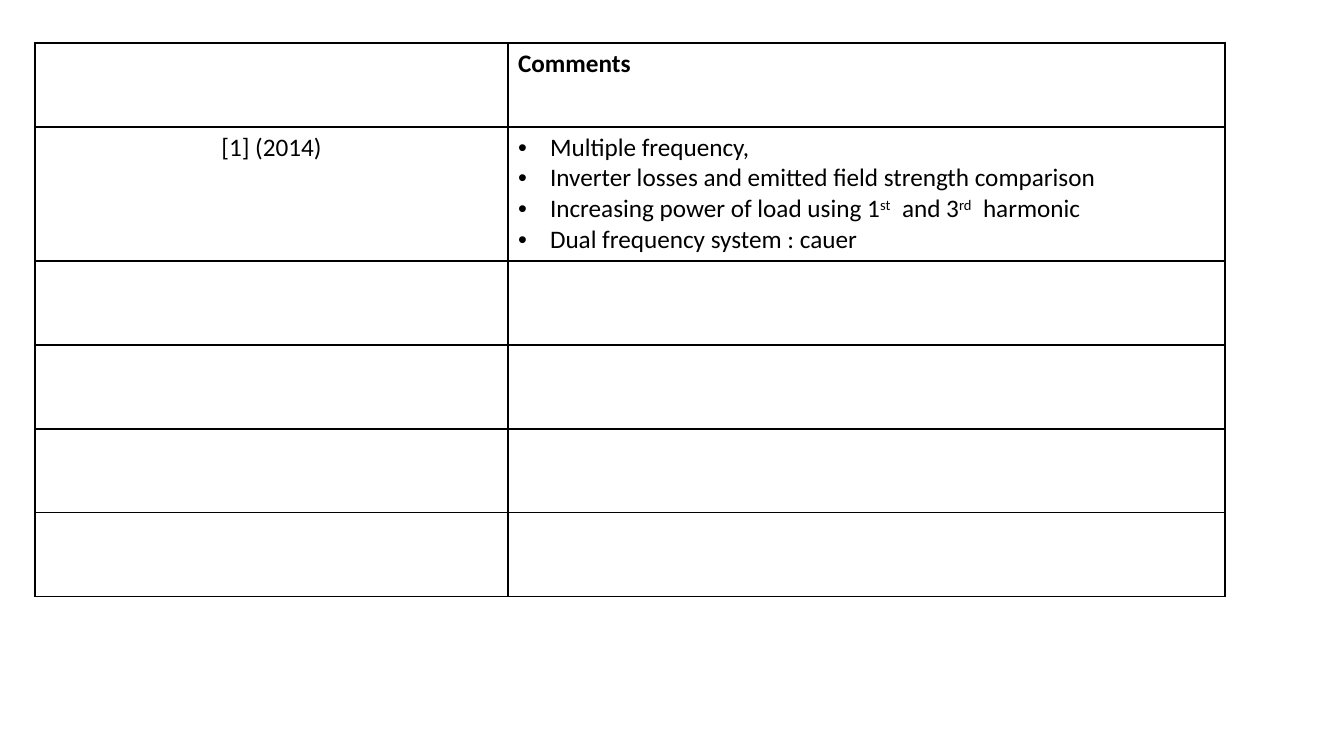
from lxml import etree
from pptx import Presentation
from pptx.dml.color import RGBColor
from pptx.enum import text
from pptx.oxml import ns
from pptx.util import Pt

PX = 914400 / 100.8
COLORS = {"paper": "FFFFFF", "ink": "000000"}
FONT, SIZE = "Calibri", 18
INDENT = 32

# Each paragraph is a list of (words, superscript) runs
REFERENCE = [[("[1] (2014)", False)]]
COMMENTS = [
    [("Multiple frequency,", False)],
    [("Inverter losses and emitted field strength comparison", False)],
    [("Increasing power of load using 1", False), ("st", True),
     ("  and 3", False), ("rd", True), ("  harmonic", False)],
    [("Dual frequency system : cauer", False)],
]


def px(n):
    return round(n * PX)


def color(name):
    return RGBColor.from_string(COLORS[name])


def style_cell(cell):
    """Thin border on all four sides, then the fill."""
    tcPr = cell._tc.get_or_add_tcPr()
    for side in ("a:lnL", "a:lnR", "a:lnT", "a:lnB"):
        ln = etree.SubElement(tcPr, ns.qn(side), w=str(Pt(1)))
        fill = etree.SubElement(ln, ns.qn("a:solidFill"))
        etree.SubElement(fill, ns.qn("a:srgbClr"), val=COLORS["ink"])
    cell.fill.solid()
    cell.fill.fore_color.rgb = color("paper")


def add_bullet(p):
    pPr = p._p.get_or_add_pPr()
    pPr.set("marL", str(px(INDENT)))
    pPr.set("indent", str(-px(INDENT)))
    etree.SubElement(pPr, ns.qn("a:buFont"), typeface="Arial")
    etree.SubElement(pPr, ns.qn("a:buChar"), char="•")


def write(cell, paragraphs, bold=False, bullets=False, align=text.PP_ALIGN.LEFT):
    tf = cell.text_frame
    for i, runs in enumerate(paragraphs):
        p = tf.add_paragraph() if i else tf.paragraphs[0]
        p.alignment = align
        if bullets:
            add_bullet(p)
        for words, raised in runs:
            r = p.add_run()
            r.text = words
            r.font.name, r.font.size, r.font.bold = FONT, Pt(SIZE), bold
            r.font.color.rgb = color("ink")
            if raised:
                r.font._element.set("baseline", "30000")


def add_comments_table(s, left, top, widths, heights):
    frame = s.shapes.add_table(len(heights), len(widths), px(left), px(top),
                               px(sum(widths)), px(sum(heights)))
    table = frame.table
    table.first_row = table.horz_banding = False
    for column, width in zip(table.columns, widths):
        column.width = px(width)
    for row, height in zip(table.rows, heights):
        row.height = px(height)
    for cell in table.iter_cells():
        style_cell(cell)

    # Heading and first reference; the other rows stay open
    write(table.cell(0, 1), [[("Comments", False)]], bold=True)
    write(table.cell(1, 0), REFERENCE, align=text.PP_ALIGN.CENTER)
    write(table.cell(1, 1), COMMENTS, bullets=True)


def main():
    prs = Presentation()
    prs.slide_width, prs.slide_height = px(1344), px(756)
    s = prs.slides.add_slide(prs.slide_layouts[6])
    s.background.fill.solid()
    s.background.fill.fore_color.rgb = color("paper")
    add_comments_table(s, 35, 43, [473, 717], [84, 134] + [84] * 4)
    prs.save("out.pptx")


if __name__ == "__main__":
    main()
